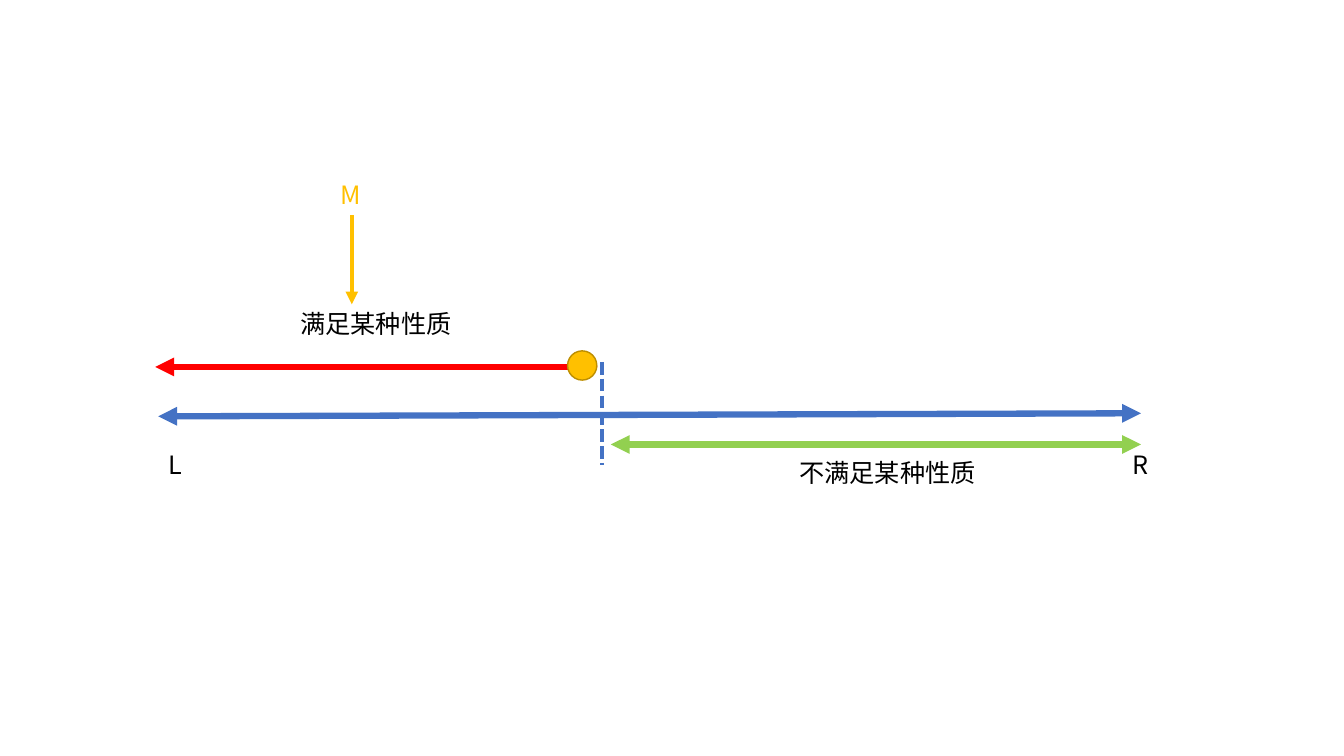
from dataclasses import dataclass

from lxml import etree
from pptx import Presentation
from pptx.dml.color import RGBColor
from pptx.enum import dml, shapes, text
from pptx.oxml import ns
from pptx.util import Pt


@dataclass(frozen=True)
class Theme:
    font: str = "Noto Sans CJK SC"
    label_size: float = 18
    label_height: float = 29
    range_width: float = 4.5
    marker_width: float = 3
    black: str = "000000"
    blue: str = "4472C4"
    red: str = "FF0000"
    green: str = "92D050"
    gold: str = "FFC000"
    dark_gold: str = "BD8E00"


@dataclass(frozen=True)
class Box:
    """A region of the slide, in points."""
    left: float
    top: float
    width: float
    height: float

    @property
    def right(self):
        return self.left + self.width

    @property
    def bottom(self):
        return self.top + self.height


THEME = Theme()


def color(value):
    return RGBColor.from_string(value)


def add_label(page, wording, left, top, width, ink=THEME.black):
    label = page.shapes.add_textbox(Pt(left), Pt(top), Pt(width), Pt(THEME.label_height))
    frame = label.text_frame
    frame.word_wrap = False
    frame.auto_size = text.MSO_AUTO_SIZE.SHAPE_TO_FIT_TEXT
    span = frame.paragraphs[0].add_run()
    span.text = wording
    span.font.size = Pt(THEME.label_size)
    span.font.name = THEME.font
    span.font.color.rgb = color(ink)
    east_asian = etree.SubElement(span.font._element, ns.qn("a:ea"))
    east_asian.set("typeface", THEME.font)


def add_line(page, start, end, ink, width, arrows=(), dash=None):
    """Draw a line; arrows names its arrow ends, headEnd before tailEnd."""
    line = page.shapes.add_connector(
        shapes.MSO_CONNECTOR.STRAIGHT, *(Pt(value) for value in (*start, *end)))
    line.line.color.rgb = color(ink)
    line.line.width = Pt(width)
    if dash is not None:
        line.line.dash_style = dash
    properties = line._element.spPr
    outline = properties.find(ns.qn("a:ln"))
    for arrow in arrows:
        etree.SubElement(outline, ns.qn(f"a:{arrow}")).set("type", "triangle")
    etree.SubElement(properties, ns.qn("a:effectLst"))


def add_range(page, start, end, ink):
    add_line(page, start, end, ink, THEME.range_width, ("headEnd", "tailEnd"))


def draw_axis(page, box):
    """Draw the whole interval, rising slightly, with its end names."""
    axis_rise = 2.2
    add_range(page, (box.left, box.top + axis_rise), (box.right, box.top), THEME.blue)
    label_top = box.bottom - THEME.label_height
    add_label(page, "L", box.left, label_top, 23)
    add_label(page, "R", box.right - 13, label_top, 25.2)


def draw_divider(page, box):
    add_line(page, (box.left, box.top), (box.left, box.bottom), THEME.blue,
             THEME.marker_width, dash=dml.MSO_LINE.SQUARE_DOT)


def draw_satisfied_range(page, box):
    """Draw the left range below its label, ending in a dot."""
    range_y = box.top + 45.4
    add_range(page, (box.left, range_y), (box.right, range_y), THEME.red)
    add_label(page, "满足某种性质", box.left + 96.5, box.top, 123.8)
    diameter = 20.9
    dot = page.shapes.add_shape(
        shapes.MSO_SHAPE.OVAL, Pt(box.right - 21.6), Pt(box.bottom - diameter),
        Pt(diameter), Pt(diameter))
    dot.shadow.inherit = False
    dot.fill.solid()
    dot.fill.fore_color.rgb = color(THEME.gold)
    dot.line.color.rgb = color(THEME.dark_gold)
    dot.line.width = Pt(1)


def draw_unsatisfied_range(page, box):
    add_range(page, (box.left, box.top), (box.right, box.top), THEME.green)
    add_label(page, "不满足某种性质", box.left + 127.5,
              box.bottom - THEME.label_height, 144)


def draw_midpoint(page, box):
    center = box.left + box.width / 2
    add_label(page, "M", box.left, box.top, box.width, THEME.gold)
    add_line(page, (center, box.top + THEME.label_height), (center, box.bottom),
             THEME.gold, THEME.marker_width, ("tailEnd",))


def main():
    deck = Presentation()
    deck.slide_width, deck.slide_height = Pt(960), Pt(540)
    blank_layout = deck.slide_layouts[6]
    page = deck.slides.add_slide(blank_layout)
    draw_axis(page, Box(113, 295.2, 702, 51.3))
    draw_divider(page, Box(429.8, 258.5, 0, 73.4))
    draw_satisfied_range(page, Box(110.9, 216.7, 316.1, 54.8))
    draw_unsatisfied_range(page, Box(436.3, 317.5, 378.7, 34.8))
    draw_midpoint(page, Box(236.2, 124.6, 30.2, 92.8))
    deck.save("out.pptx")


if __name__ == "__main__":
    main()
